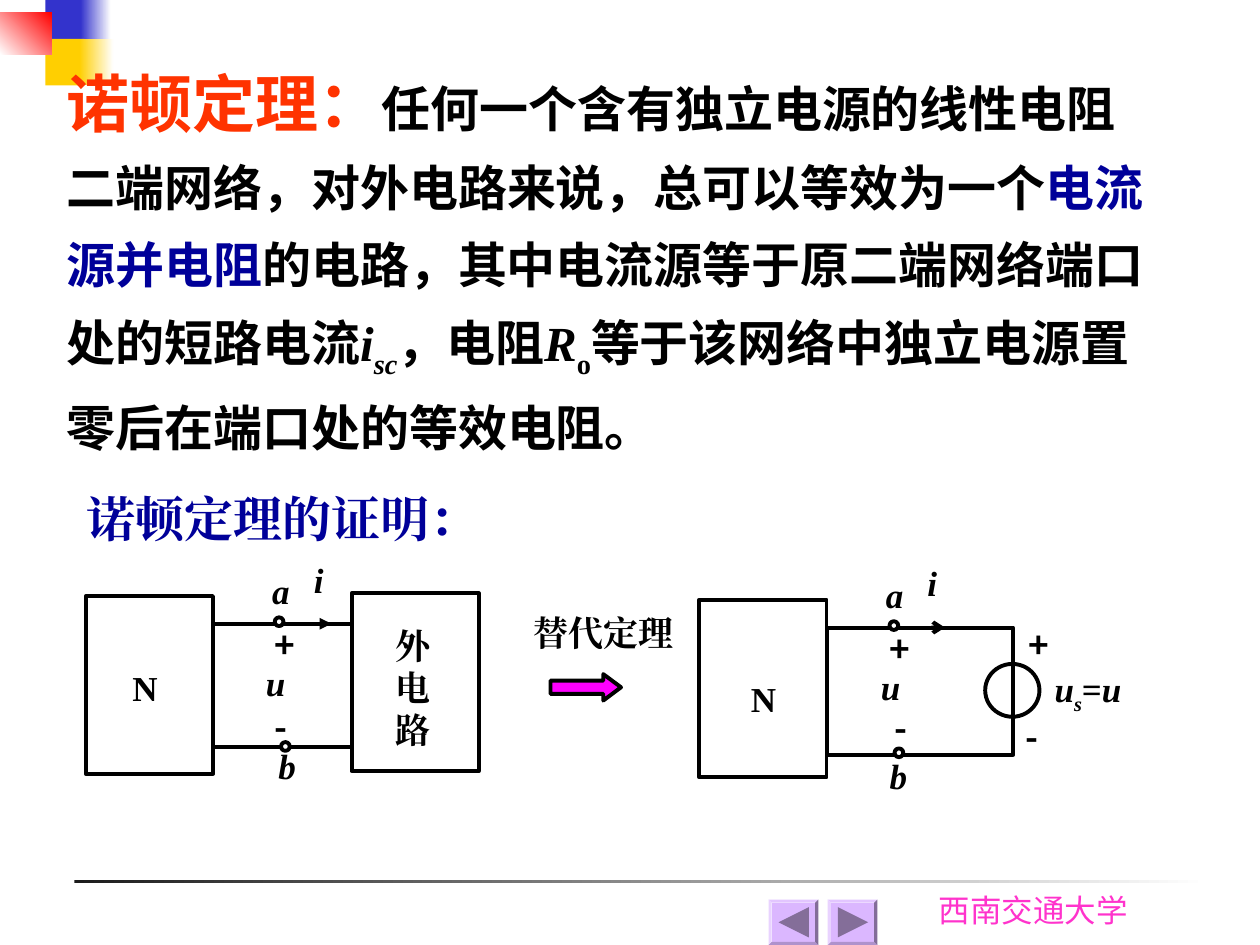
"""Build the slide on Norton's theorem with its two equivalent circuits."""
import pptx
import pptx.dml.color
import pptx.enum.shapes
import pptx.enum.text
import pptx.oxml.ns
import pptx.util
from lxml import etree

Pt = pptx.util.Pt
SHAPE = pptx.enum.shapes.MSO_SHAPE
ALIGN = pptx.enum.text.PP_ALIGN
qn = pptx.oxml.ns.qn
COLORS = {
    "black": "000000", "white": "FFFFFF", "charcoal": "1C1C1C", "blue": "3333CC",
    "yellow": "FFCF01", "red": "FF0000", "orange": "FF3300", "navy": "000099",
    "pink": "FF33CC", "magenta": "FF00FF", "lilac": "DBB7FF", "purple": "846E99",
}
RGB = {name: pptx.dml.color.RGBColor.from_string(value) for name, value in COLORS.items()}
TIMES, KARLA, NOTO = "Times New Roman", "Karla", "Noto Sans CJK SC"

deck = pptx.Presentation()
deck.slide_width, deck.slide_height = Pt(720), Pt(540)
slide = deck.slides.add_slide(deck.slide_layouts[6])


def draw(kind, left, top, width, height, fill=None, line=None, angle=0):
    shape = slide.shapes.add_shape(kind, Pt(left), Pt(top), Pt(width), Pt(height))
    shape.shadow.inherit = False
    if isinstance(fill, tuple):
        shape.fill.gradient()
        shape.fill.gradient_angle = angle
        for stop, color in zip(shape.fill.gradient_stops, fill):
            stop.color.rgb = RGB[color]
    elif fill:
        shape.fill.solid()
        shape.fill.fore_color.rgb = RGB[fill]
    else:
        shape.fill.background()
    if line:
        shape.line.color.rgb = RGB[line]
        shape.line.width = Pt(2.25)
    else:
        shape.line.fill.background()
    return shape


def write(left, top, width, height, lines, inset=(0, 0), align=ALIGN.JUSTIFY):
    box = slide.shapes.add_textbox(Pt(left), Pt(top), Pt(width), Pt(height))
    frame = box.text_frame
    frame.word_wrap = True
    frame.margin_left = frame.margin_right = Pt(inset[0])
    frame.margin_top = frame.margin_bottom = Pt(inset[1])
    for index, spans in enumerate(lines):
        para = frame.paragraphs[0] if index == 0 else frame.add_paragraph()
        para.alignment = align
        for text, font, size, color, style in spans:
            span = para.add_run()
            span.text = text
            span.font.name = font
            span.font.size = Pt(size)
            span.font.color.rgb = RGB[color]
            span.font.bold = "b" in style
            span.font.italic = "i" in style
            properties = span.font._element
            etree.SubElement(properties, qn("a:ea")).set("typeface", font)
            if "s" in style:
                properties.set("baseline", "-25000")
    return box


draw(SHAPE.RECTANGLE, 42.5, 502.6, 648, 2.2, ("charcoal", "white"))
write(529.2, 505.4, 130.3, 28.8, [[("西南交通大学", KARLA, 18, "pink", "")]],
      (7.2, 3.6), ALIGN.LEFT)
for left, top, width, height, fill, angle in [
    (25.9, 0, 23, 26.6, "blue", 0),
    (46.1, 0, 17.3, 26.6, ("blue", "white"), 0),
    (25.9, 22.3, 22.3, 26.6, "yellow", 0),
    (45.4, 22.3, 19.4, 26.6, ("yellow", "white"), 0),
    (0, 7.2, 29.5, 23.8, ("white", "red"), 45),
]:
    draw(SHAPE.RECTANGLE, left, top, width, height, fill, angle=angle)

theorem = write(31, 20.2, 635, 244.1, [[
    ("诺顿定理：", KARLA, 36, "orange", "b"),
    ("任何一个含有独立电源的线性电阻二端网络，对外电路来说，总可以等效为一个",
     KARLA, 28, "black", "b"),
    ("电流源并电阻", KARLA, 28, "navy", "b"),
    ("的电路，其中电流源等于原二端网络端口处的短路电流", KARLA, 28, "black", "b"),
    ("i", TIMES, 28, "black", "bi"),
    ("sc", TIMES, 28, "black", "bis"),
    ("，电阻", KARLA, 28, "black", "b"),
    ("R", TIMES, 28, "black", "bi"),
    ("o", TIMES, 28, "black", "bs"),
    ("等于该网络中独立电源置零后在端口处的等效电阻。", KARLA, 28, "black", "b"),
]], (7.2, 3.6), ALIGN.LEFT)
theorem.text_frame.vertical_anchor = pptx.enum.text.MSO_ANCHOR.MIDDLE
theorem.text_frame.paragraphs[0].line_spacing = 1.3
write(42.5, 275.8, 246.2, 41, [[("诺顿定理的证明：", TIMES, 28, "navy", "b")]], (7.2, 3.6))
write(304.6, 349.2, 97.9, 36.7, [[("替代定理", TIMES, 20, "black", "b")]])
arrow = draw(SHAPE.RIGHT_ARROW, 314.6, 385.2, 40.3, 15.1, "magenta", "black")
arrow.adjustments[1] = 0.67

for left, top, width, height in [
    (49, 340.6, 72.7, 101.5),
    (200.9, 339.1, 72.7, 101.5),
    (472.3, 358.6, 106.6, 72.7),
    (399.6, 342.7, 72.7, 101.5),
]:
    draw(SHAPE.RECTANGLE, left, top, width, height, line="black")
draw(SHAPE.OVAL, 563, 379.4, 31, 30.2, line="black")

for start, end, y, head in [
    (121.7, 200.9, 356.4, None),
    (121.7, 200.9, 427, None),
    (180.7, 189.4, 356.4, "triangle"),
    (532.1, 540, 358.6, "arrow"),
]:
    wire = slide.shapes.add_connector(
        pptx.enum.shapes.MSO_CONNECTOR.STRAIGHT, Pt(start), Pt(y), Pt(end), Pt(y))
    wire.line.color.rgb = RGB["black"]
    wire.line.width = Pt(2.25)
    if head:
        etree.SubElement(wire.line._get_or_add_ln(), qn("a:tailEnd")).set("type", head)
    etree.SubElement(wire._element.spPr, qn("a:effectLst"))

for left, top in [(157, 352.8), (160.6, 424.1), (508.3, 355), (511.2, 427.7)]:
    draw(SHAPE.OVAL, left, top, 5, 5, "white", "black")

for text, font, style, width, height, places in [
    ("N", TIMES, "b", 21.6, 28.8, [(75.6, 380.9), (429.1, 387.4)]),
    ("a", TIMES, "bi", 49.7, 36.7, [(155.5, 325.4), (506.2, 327.6)]),
    ("b", TIMES, "bi", 49.7, 36.7, [(159.1, 425.5), (508.3, 431.3)]),
    ("u", TIMES, "bi", 43.9, 49.7, [(151.9, 378), (503.3, 380.2)]),
    ("i", TIMES, "bi", 43.9, 49.7, [(179.3, 319), (529.9, 321.1)]),
    ("+", NOTO, "b", 22.3, 30.2, [(157, 356.4), (508.3, 358.6), (587.5, 356.4)]),
    ("-", NOTO, "b", 22.3, 30.2, [(157, 403.2), (511.2, 403.9), (586.1, 409)]),
]:
    for left, top in places:
        write(left, top, width, height, [[(text, font, 20, "black", style)]])
write(226.1, 357.1, 25.2, 70.6,
      [[(character, TIMES, 20, "black", "b")] for character in "外电路"])
write(602.6, 381.6, 41.8, 35.3, [[
    (text, TIMES, 20, "black", style)
    for text, style in [("u", "bi"), ("s", "bis"), ("=", "b"), ("u", "bi")]
]])

for left, offset, rotation in [(439.2, 5.7, 270), (473, 5.8, 90)]:
    button = draw(SHAPE.BEVEL, left, 514.1, 28.4, 25.9, "lilac")
    button.adjustments[0] = 0.07
    triangle = draw(SHAPE.ISOSCELES_TRIANGLE, left + offset, 518.4, 17.3, 17.3, "purple")
    triangle.rotation = rotation

deck.save("out.pptx")
